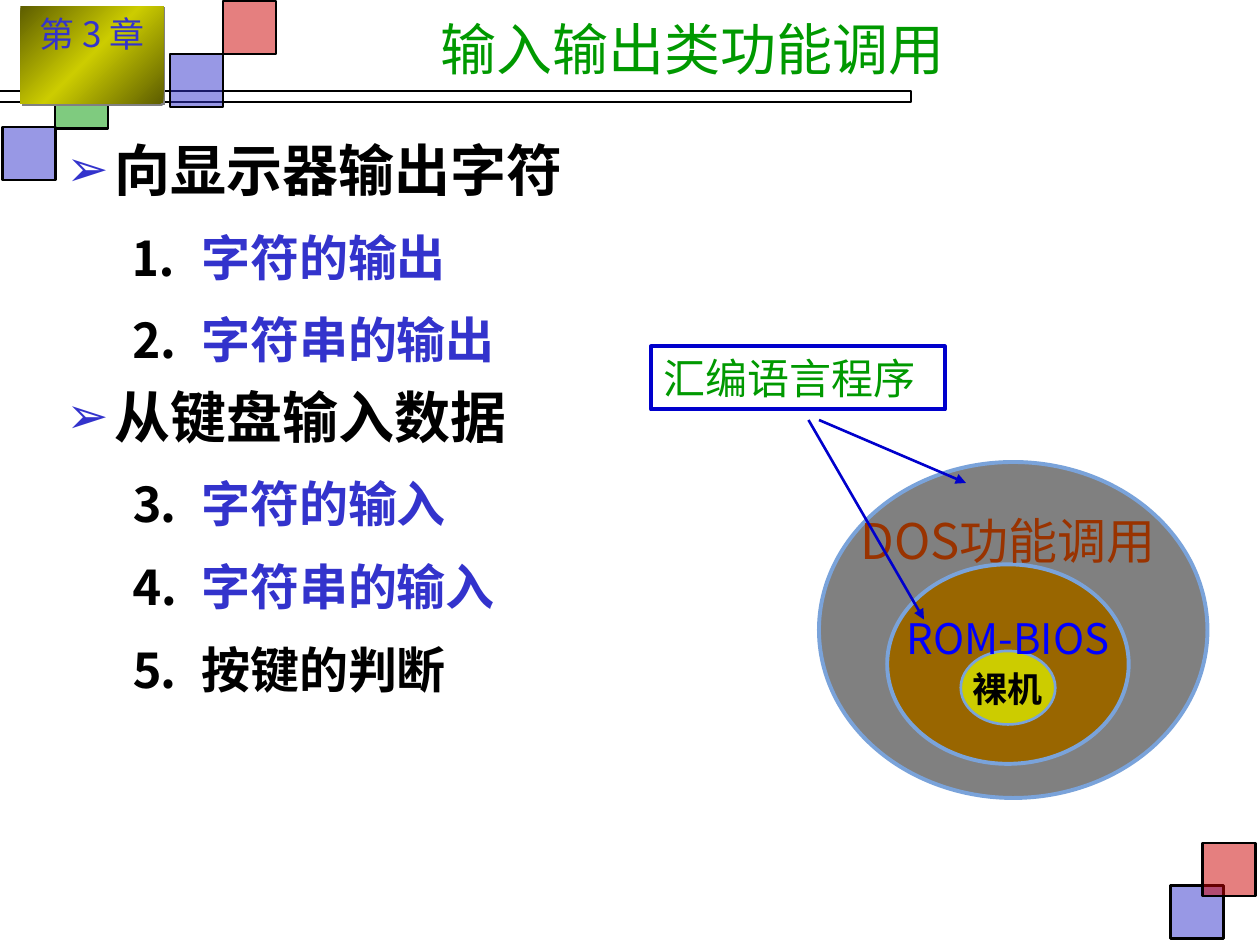
from dataclasses import dataclass
from typing import Any, Optional

from lxml.etree import SubElement
from pptx import Presentation
from pptx.dml.color import RGBColor
from pptx.enum.shapes import MSO_CONNECTOR, MSO_SHAPE
from pptx.enum.text import MSO_ANCHOR, PP_ALIGN
from pptx.oxml import parse_xml
from pptx.oxml.ns import nsdecls, qn
from pptx.util import Inches, Pt

CELL = Inches(10) / 120  # the slide is 120 columns by 90 rows

BLACK = RGBColor(0x00, 0x00, 0x00)
INDIGO = RGBColor(0x33, 0x33, 0xCC)
RED = RGBColor(0xCC, 0x00, 0x00)
GREEN = RGBColor(0x00, 0x99, 0x00)
GRAY = RGBColor(0x80, 0x80, 0x80)
BROWN = RGBColor(0x99, 0x66, 0x00)
YELLOW = RGBColor(0xCC, 0xCC, 0x00)
OLIVE = RGBColor(0x5E, 0x5E, 0x00)
SKY = RGBColor(0x7A, 0xA3, 0xDA)
NAVY = RGBColor(0x00, 0x00, 0xCC)
BLUE = RGBColor(0x00, 0x00, 0xFF)
RUST = RGBColor(0x99, 0x33, 0x00)


@dataclass(frozen=True)
class Area:
    column: float
    row: float
    columns: float
    rows: float

    def lengths(self) -> list[int]:
        return [round(value * CELL) for value in (self.column, self.row, self.columns, self.rows)]


@dataclass(frozen=True)
class Figure:
    area: Area
    fill: Optional[RGBColor]
    line: RGBColor = BLACK
    weight: float = 1.5
    kind: MSO_SHAPE = MSO_SHAPE.RECTANGLE
    opacity: int = 100


@dataclass(frozen=True)
class Label:
    area: Area
    text: str
    size: float
    font: str
    color: RGBColor
    bold: bool = False
    wrap: bool = True
    align: PP_ALIGN = PP_ALIGN.CENTER
    outlined: bool = False


@dataclass(frozen=True)
class Topic:
    text: str
    items: tuple[tuple[str, str, RGBColor], ...]


SQUARE = 5.05
RAIL = Figure(Area(-0.25, 8.65, 87, 1.08), None)
SQUARES = [
    Figure(Area(column, row, SQUARE, SQUARE), color, opacity=50)
    for column, row, color in (
        (111.5, 84.35, INDIGO), (114.5, 80.3, RED), (16.2, 5.15, INDIGO),
        (0.25, 12.1, INDIGO), (5.25, 7.2, GREEN), (21.25, 0.1, RED),
    )
]
LAYERS = [
    Figure(Area(78, 44, 37, 32), GRAY, SKY, 2.25, MSO_SHAPE.OVAL),
    Figure(Area(84.5, 53.75, 23, 19), BROWN, SKY, 2.25, MSO_SHAPE.OVAL),
    Figure(Area(91.5, 62, 9, 7), YELLOW, SKY, 1.5, MSO_SHAPE.OVAL),
]
LAYER_LABELS = [
    Label(Area(89.5, 63, 13, 5.3), "裸机", 20, "Times New Roman", BLACK, bold=True),
    Label(Area(84, 57.7, 24, 8), "ROM-BIOS", 24, "Noto Sans CJK SC", BLUE,
          wrap=False, outlined=True),
    Label(Area(79, 48, 34, 11), "DOS功能调用", 28, "Noto Sans CJK SC", RUST,
          wrap=False, outlined=True),
]
CHAPTER = Label(Area(1.95, 0.6, 13.6, 9.25), "第 3 章", 20, "Noto Sans CJK JP", INDIGO)
TITLE = Label(Area(26.5, 0.95, 79, 7.2), "输入输出类功能调用", 32, "Roboto", GREEN)
PROGRAM = Label(Area(62, 33, 28, 6), "汇编语言程序", 24, "Times New Roman", GREEN,
                align=PP_ALIGN.LEFT)
ARROWS = [(78, 40, 92, 46), (77, 40, 88, 59)]
OUTLINE_AREA = Area(5.15, 12.35, 58.8, 71.75)
TOPICS = [
    Topic("向显示器输出字符", (("⒈", "字符的输出", INDIGO), ("⒉", "字符串的输出", INDIGO))),
    Topic("从键盘输入数据", (("⒊", "字符的输入", INDIGO), ("⒋", "字符串的输入", INDIGO),
                      ("⒌", "按键的判断", BLACK))),
]


def apply(target: Any, values: dict[str, Any]) -> None:
    for name, value in values.items():
        setattr(target, name, value)


def draw_figure(slide: Any, figure: Figure) -> Any:
    shape = slide.shapes.add_shape(figure.kind, *figure.area.lengths())
    shape.shadow.inherit = False
    if figure.fill is None:
        shape.fill.background()
    else:
        shape.fill.solid()
        shape.fill.fore_color.rgb = figure.fill
        if figure.opacity < 100:
            color = shape.fill._xPr.find(".//" + qn("a:srgbClr"))
            SubElement(color, qn("a:alpha"), val=str(figure.opacity * 1000))
    shape.line.color.rgb = figure.line
    shape.line.width = Pt(figure.weight)
    return shape


def add_run(paragraph: Any, text: str, size: float, font: str, color: RGBColor,
            bold: bool = False) -> Any:
    run = paragraph.add_run()
    run.text = text
    apply(run.font, {"size": Pt(size), "name": font, "bold": bold})
    run.font.color.rgb = color
    return run


def write_label(shape: Any, label: Label, anchor: MSO_ANCHOR = MSO_ANCHOR.TOP) -> None:
    apply(shape.text_frame, {"word_wrap": label.wrap, "vertical_anchor": anchor})
    paragraph = shape.text_frame.paragraphs[0]
    paragraph.alignment = label.align
    run = add_run(paragraph, label.text, label.size, label.font, label.color, label.bold)
    if label.outlined:
        run.font._element.insert(0, parse_xml(
            f'<a:ln {nsdecls("a")} w="{Pt(0.75)}"><a:solidFill>'
            f'<a:srgbClr val="{label.color}"/></a:solidFill></a:ln>'))


def draw_chapter(slide: Any) -> None:
    shape = slide.shapes.add_shape(MSO_SHAPE.RECTANGLE, *CHAPTER.area.lengths())
    shape.line.fill.background()
    stops = "".join(f'<a:gs pos="{share * 1000}"><a:srgbClr val="{color}"/></a:gs>'
                    for share, color in ((0, OLIVE), (50, YELLOW), (100, OLIVE)))
    properties = shape._element.spPr
    properties.insert(2, parse_xml(
        f'<a:gradFill {nsdecls("a")}><a:gsLst>{stops}</a:gsLst>'
        f'<a:lin ang="{225 * 60000}" scaled="0"/></a:gradFill>'))
    properties.append(parse_xml(
        f'<a:effectLst {nsdecls("a")}><a:outerShdw dist="{Pt(1.4)}" dir="{45 * 60000}">'
        f'<a:srgbClr val="{GRAY}"/></a:outerShdw></a:effectLst>'))
    write_label(shape, CHAPTER)


def format_outline_line(paragraph: Any, margin: float, hanging: float, space: float) -> None:
    properties = paragraph._p.get_or_add_pPr()
    properties.set("marL", str(Inches(margin)))
    properties.set("indent", str(-Inches(hanging)))
    apply(paragraph, {"alignment": PP_ALIGN.JUSTIFY, "space_before": Pt(space)})


def write_outline(slide: Any) -> None:
    frame = slide.shapes.add_textbox(*OUTLINE_AREA.lengths()).text_frame
    frame.word_wrap = True
    for index, topic in enumerate(TOPICS):
        paragraph = frame.add_paragraph() if index else frame.paragraphs[0]
        format_outline_line(paragraph, 0.38, 0.38, 8 if index else 0)
        properties = paragraph._p.pPr
        color = SubElement(properties, qn("a:buClr"))
        SubElement(color, qn("a:srgbClr"), val=str(INDIGO))
        SubElement(properties, qn("a:buSzPct"), val="90000")
        SubElement(properties, qn("a:buFont"), typeface="Arial")
        SubElement(properties, qn("a:buChar"), char="➢")
        add_run(paragraph, topic.text, 32, "Arial", BLACK, True)
        for number, text, item_color in topic.items:
            paragraph = frame.add_paragraph()
            format_outline_line(paragraph, 1.07, 0.57, 7)
            apply(paragraph, {"level": 1, "line_spacing": 1.2})
            add_run(paragraph, number + "\t", 28, "Arial", BLACK, True)
            add_run(paragraph, text, 28, "Arial", item_color, True)


def draw_arrow(slide: Any, ends: tuple[float, ...]) -> None:
    points = [round(value * CELL) for value in ends]
    connector = slide.shapes.add_connector(MSO_CONNECTOR.STRAIGHT, *points)
    connector.line.color.rgb = NAVY
    connector.line.width = Pt(1.5)
    SubElement(connector.line._get_or_add_ln(), qn("a:tailEnd"), type="triangle")
    SubElement(connector._element.spPr, qn("a:effectLst"))


def main() -> None:
    presentation = Presentation()
    apply(presentation, {"slide_width": Inches(10), "slide_height": Inches(7.5)})
    slide = presentation.slides.add_slide(presentation.slide_layouts[5])
    for figure in (RAIL, *SQUARES):
        draw_figure(slide, figure)
    draw_chapter(slide)
    title = slide.shapes.title
    apply(title, dict(zip(("left", "top", "width", "height"), TITLE.area.lengths())))
    write_label(title, TITLE, MSO_ANCHOR.MIDDLE)
    write_outline(slide)
    for figure in LAYERS:
        draw_figure(slide, figure)
    for label in LAYER_LABELS:
        write_label(slide.shapes.add_textbox(*label.area.lengths()), label)
    write_label(draw_figure(slide, Figure(PROGRAM.area, None, NAVY, 2.25)), PROGRAM)
    for ends in ARROWS:
        draw_arrow(slide, ends)
    presentation.save("out.pptx")


if __name__ == "__main__":
    main()
